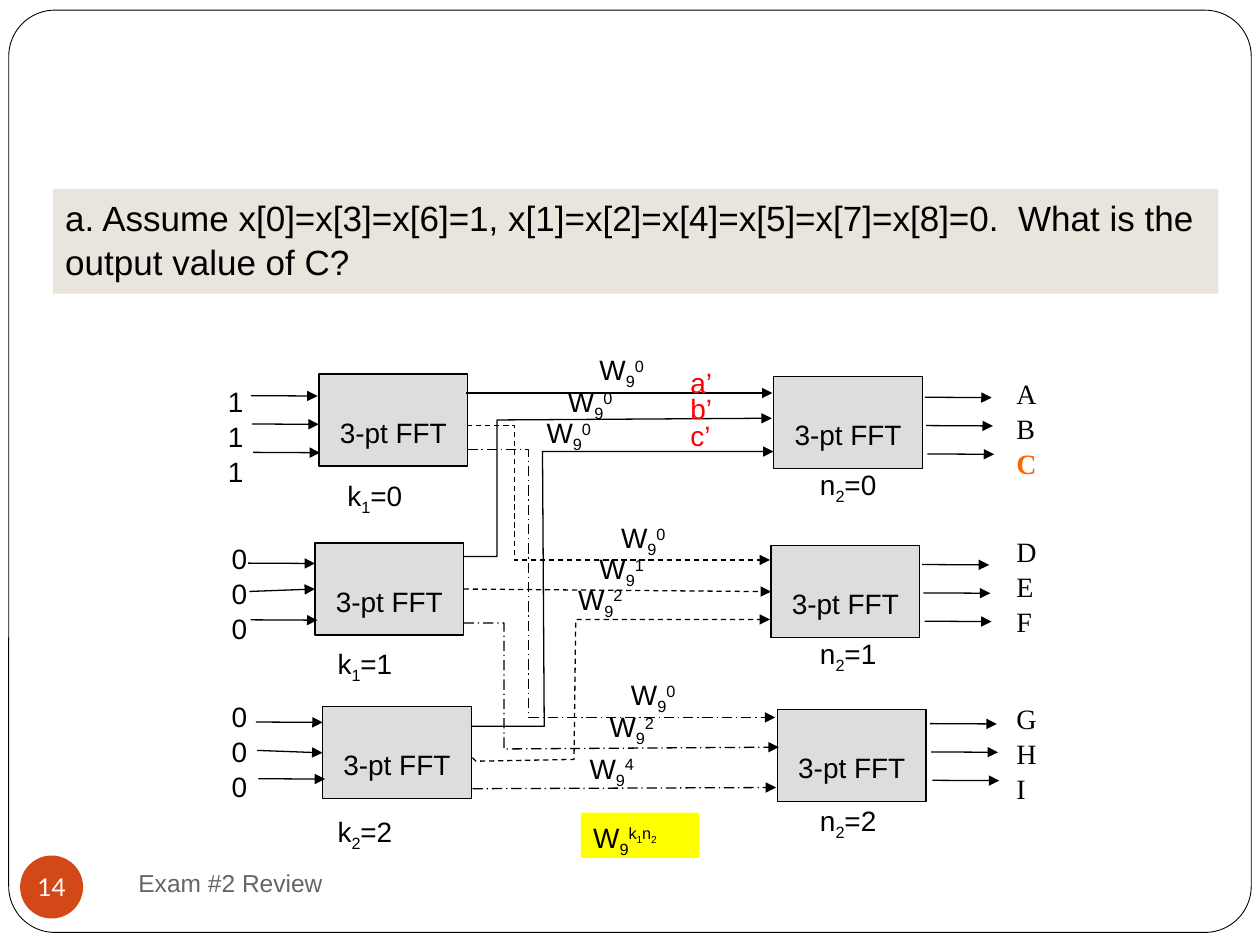
from pptx import Presentation
from pptx.dml.color import RGBColor
from pptx.enum.dml import MSO_LINE_DASH_STYLE as Dash
from pptx.enum.shapes import MSO_CONNECTOR, MSO_SHAPE as Preset
from pptx.enum.text import MSO_ANCHOR as Anchor, PP_ALIGN as Align
from pptx.oxml.ns import qn
from pptx.util import Pt
from lxml.etree import SubElement

BLACK = RGBColor(0x00, 0x00, 0x00)
WHITE = RGBColor(0xFF, 0xFF, 0xFF)
RED = RGBColor(0xFF, 0x00, 0x00)
ORANGE = RGBColor(0xFF, 0x66, 0x00)
RUST = RGBColor(0xD3, 0x48, 0x17)
BEIGE = RGBColor(0xE9, 0xE5, 0xDC)
GREY = RGBColor(0xDD, 0xDD, 0xDD)
FOOTER_GREY = RGBColor(0x69, 0x64, 0x64)
YELLOW = RGBColor(0xFF, 0xFF, 0x00)

BLOCK_W, BLOCK_H = 85, 52.6
LANE_DX, LANE_DY, ARROW_W = 0.7, 16.2, 38.2
FIRST_STAGE = [(182.2, 213.8), (180, 310.3), (184.3, 403.9)]
SECOND_STAGE = [(442.1, 215.3), (440.6, 311.8), (444.2, 405.4)]
INPUT_STARTS = [(143.3, 226.1), (141.8, 321.8), (146.2, 412.6)]
OUTPUT_STARTS = [(528.5, 227), (527, 322.6), (531.4, 413.5)]
INPUTS = [(123.1, 215.3, "111"), (125.3, 305.3, "000"), (125.3, 395.3, "000")]
OUTPUTS = [(211, "AB"), (301, "DEF"), (396.7, "GHI")]
TWIDDLES = [
    [(335.5, 197.3), (317.5, 215.3), (305.3, 233.3)],
    [(347.8, 293), (335.5, 311), (323.3, 328.3)],
    [(353.5, 383), (341.3, 401), (329.8, 424.8)],
]
K_LABELS = [(191.5, 269.3, "1"), (185.8, 365, "1"), (185.8, 460.8, "2")]
N_TOPS = [262.8, 359.3, 455]
WIRES = [
    (Dash.SOLID, [(265, 318.2), (283.7, 318.2), (283.7, 239.8), (441.4, 239)]),
    (Dash.SOLID, [(269.3, 414.7), (311, 414.7), (309.6, 257.8), (442.1, 257.8)]),
    (Dash.DASH, [(267.1, 242.6), (293.8, 242.6), (293.8, 319.7), (439.9, 319.7)]),
    (Dash.DASH, [(270, 433.4), (272.5, 434.9), (328.3, 434.2), (329, 354.2),
                 (439.9, 353.5)]),
    (Dash.LONG_DASH_DOT, [(265, 355.7), (288, 355.7), (288, 427.7), (445, 427)]),
    (Dash.LONG_DASH_DOT, [(267.1, 257.4), (302.4, 257.4), (302.4, 409.7),
                          (442.8, 409.7)]),
]


def sub(text):
    """Return a subscript run."""
    return text, {"baseline": -25000}


def sup(text, **style):
    """Return a superscript run."""
    return text, {"baseline": 30000, **style}


def write(shape, lines, size=16, font="Arial", color=BLACK, align=Align.LEFT,
          anchor=Anchor.TOP, insets=(7.2, 3.6, 7.2, 3.6), wrap=True, spacing=1.04):
    """Fill a shape with lines, each a string or a list of (text, style) runs."""
    frame = shape.text_frame
    frame.word_wrap = wrap
    frame.vertical_anchor = anchor
    (frame.margin_left, frame.margin_top,
     frame.margin_right, frame.margin_bottom) = map(Pt, insets)
    for index, line in enumerate(lines):
        paragraph = frame.add_paragraph() if index else frame.paragraphs[0]
        paragraph.alignment = align
        paragraph.line_spacing = spacing
        for text, style in [(line, {})] if isinstance(line, str) else line:
            run = paragraph.add_run()
            run.text = text
            run.font.name = font
            run.font.size = Pt(style.get("size", size))
            run.font.bold = style.get("bold", False)
            run.font.color.rgb = style.get("color", color)
            if "baseline" in style:
                run.font._element.set("baseline", str(style["baseline"]))


def label(slide, left, top, width, height, lines, **style):
    """Add a text box."""
    box = slide.shapes.add_textbox(Pt(left), Pt(top), Pt(width), Pt(height))
    write(box, lines, **style)


def panel(slide, preset, left, top, width, height, fill, outline=None):
    """Add a filled preset shape, outlined when a width is given."""
    shape = slide.shapes.add_shape(preset, Pt(left), Pt(top), Pt(width), Pt(height))
    shape.shadow.inherit = False
    shape.fill.solid()
    shape.fill.fore_color.rgb = fill
    if outline:
        shape.line.color.rgb = BLACK
        shape.line.width = Pt(outline)
    else:
        shape.line.fill.background()
    return shape


def fft_block(slide, left, top):
    """Add one 3-point FFT block."""
    block = panel(slide, Preset.RECTANGLE, left, top, BLOCK_W, BLOCK_H, GREY, 0.75)
    write(block, ["3-pt FFT"], align=Align.CENTER, insets=(7.2, 22.8, 7.2, 3.6))
    return block


def style_signal(line, dash):
    """Give a signal line its stroke and arrowhead."""
    line.color.rgb = BLACK
    line.width = Pt(0.75)
    line.dash_style = dash
    SubElement(line._get_or_add_ln(), qn("a:tailEnd"), type="triangle")


def arrow(slide, start, end, dash=Dash.SOLID):
    """Add a straight signal arrow."""
    signal = slide.shapes.add_connector(MSO_CONNECTOR.STRAIGHT, *map(Pt, start + end))
    style_signal(signal.line, dash)
    SubElement(signal._element.spPr, qn("a:effectLst"))
    return signal


def wire(slide, points, dash):
    """Add a bent signal path."""
    builder = slide.shapes.build_freeform(*points[0], scale=Pt(1))
    builder.add_line_segments(points[1:], close=False)
    path = builder.convert_to_shape()
    path.shadow.inherit = False
    path.fill.background()
    style_signal(path.line, dash)


def lanes(slide, start):
    """Add three parallel arrows and return them."""
    starts = [(start[0] + i * LANE_DX, start[1] + i * LANE_DY) for i in range(3)]
    return [arrow(slide, (x, y), (x + ARROW_W, y + 0.2)) for x, y in starts]


def frame_and_question(slide):
    """Add the slide frame, page number, question and footer."""
    border = panel(slide, Preset.ROUNDED_RECTANGLE, 5, 5.8, 710, 527, WHITE, 0.5)
    border.adjustments[0] = 0.05
    page = panel(slide, Preset.OVAL, 11.5, 488.9, 36, 36, RUST)
    write(page, ["14"], size=14, font="Lato", color=WHITE, align=Align.CENTER,
          anchor=Anchor.MIDDLE, insets=(0, 0, 0, 0), wrap=False, spacing=1)
    question = panel(slide, Preset.RECTANGLE, 30.2, 108, 666, 59.8, BEIGE)
    write(question, ["a. Assume x[0]=x[3]=x[6]=1, x[1]=x[2]=x[4]=x[5]=x[7]=x[8]=0.  "
                     "What is the output value of C?"], size=20)
    label(slide, 72, 486, 312, 36, ["Exam #2 Review"], size=14, color=FOOTER_GREY,
          anchor=Anchor.MIDDLE)


def signals(slide, first, second):
    """Add every arrow and wire of the flow graph."""
    for row, block in enumerate(first):
        middle = lanes(slide, INPUT_STARTS[row])[1]
        if abs(middle.end_y - block.top - block.height // 2) < Pt(2):
            middle.end_connect(block, 1)
        lanes(slide, OUTPUT_STARTS[row])
    arrow(slide, (266.4, 224.6), (441.4, 224.6))
    straight = arrow(slide, (265.7, 338.4), (441.4, 338.4), Dash.DASH)
    straight.begin_connect(first[1], 3)
    straight.end_connect(second[1], 1)
    arrow(slide, (270, 450.7), (443.5, 450), Dash.LONG_DASH_DOT)
    for dash, points in WIRES:
        wire(slide, points, dash)


def captions(slide):
    """Add the labels of inputs, outputs, twiddle factors and blocks."""
    for left, top, values in INPUTS:
        label(slide, left, top, 53.3, 56.9, values)
    for top, names in OUTPUTS:
        answer = [[("C", {"bold": True, "color": ORANGE})]] if names == "AB" else []
        label(slide, 573.8, top, 53.3, 56.9, [*names, *answer], font="Times New Roman")
    for row, places in enumerate(TWIDDLES):
        for lane, (left, top) in enumerate(places):
            factor = [("W", {}), sub("9"), sup(str(row * lane))]
            label(slide, left, top, 67.7, 39.6, [factor])
    for row, (left, top, index) in enumerate(K_LABELS):
        value = (f"={row}", {})
        label(slide, left, top, 69, 23, [[("k", {}), sub(index), value]])
        label(slide, 461.5, N_TOPS[row], 69, 23, [[("n", {}), sub("2"), value]])
    for order, letter in enumerate("abc"):
        label(slide, 387.4, 204.5 + order * 15.1, 53.3, 28, [f"{letter}’"], color=RED)
    formula = panel(slide, Preset.RECTANGLE, 331.9, 464.4, 67.7, 25.9, YELLOW)
    write(formula, [[("W", {}), sub("9"), sup("k"), sup("1", size=10),
                     sup("n"), sup("2", size=10)]])


def main():
    deck = Presentation()
    deck.slide_width, deck.slide_height = Pt(720), Pt(540)
    slide = deck.slides.add_slide(deck.slide_layouts[6])
    frame_and_question(slide)
    first = [fft_block(slide, *corner) for corner in FIRST_STAGE]
    second = [fft_block(slide, *corner) for corner in SECOND_STAGE]
    signals(slide, first, second)
    captions(slide)
    deck.save("out.pptx")


if __name__ == "__main__":
    main()
